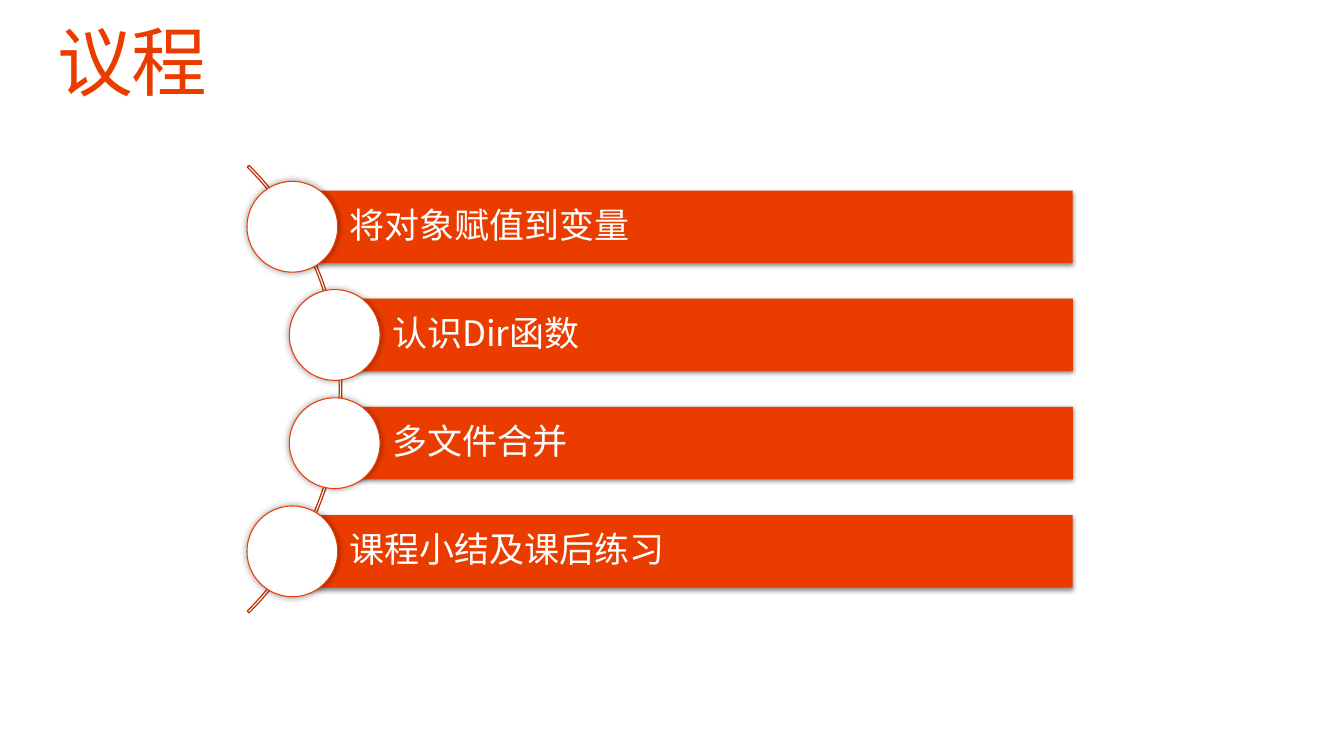
"""Build the agenda slide: four topic bars strung along an arc."""
from dataclasses import dataclass

from lxml.etree import SubElement
from pptx import Presentation
from pptx.dml.color import RGBColor as Rgb
from pptx.enum.shapes import MSO_SHAPE as Shape
from pptx.enum.text import MSO_ANCHOR as Anchor, MSO_AUTO_SIZE as AutoSize, PP_ALIGN as Align
from pptx.oxml.ns import qn
from pptx.util import Inches, Pt


@dataclass(frozen=True)
class Theme:
    accent: Rgb = Rgb(0xEB, 0x3C, 0x00)
    arc: Rgb = Rgb(0xBC, 0x30, 0x00)
    white: Rgb = Rgb(0xFF, 0xFF, 0xFF)
    shadow: str = "000000"
    title_font: str = "Cabin"
    body_font: str = "Noto Sans CJK SC"
    title_size: Pt = Pt(54)
    body_size: Pt = Pt(25)


theme = Theme()


def write_line(frame, text, font_name, size, color):
    frame.text = text
    frame.margin_left = frame.margin_right = frame.margin_top = frame.margin_bottom = 0
    frame.word_wrap = True
    frame.auto_size = AutoSize.NONE
    para = frame.paragraphs[0]
    para.alignment = Align.LEFT
    para.line_spacing = 0.9
    para.font.name = font_name
    para.font.size = size
    para.font.color.rgb = color
    properties = para._p.get_or_add_pPr().get_or_add_defRPr()
    SubElement(properties, qn("a:ea"), typeface=theme.body_font)
    return properties


def add_shadow(shape, opacity, blur, distance, degrees):
    shape.shadow.inherit = False
    effects = shape._element.spPr.find(qn("a:effectLst"))
    outer = SubElement(effects, qn("a:outerShdw"), blurRad=str(Pt(blur)),
                       dist=str(Pt(distance)), dir=str(degrees * 60000), rotWithShape="0")
    color = SubElement(outer, qn("a:srgbClr"), val=theme.shadow)
    SubElement(color, qn("a:alpha"), val=str(opacity * 1000))


deck = Presentation()
deck.slide_width, deck.slide_height = Inches(13.33), Inches(7.5)
page = deck.slides.add_slide(deck.slide_layouts.get_by_name("Title Only"))

title = page.shapes.title
title.left, title.top = Inches(0.57), Inches(0.25)
title.width, title.height = Inches(12.19), Inches(0.82)
title_properties = write_line(title.text_frame, "议程", theme.title_font,
                              theme.title_size, theme.accent)
title_properties.set("spc", "-100")
title.text_frame.vertical_anchor = Anchor.TOP

arc = page.shapes.add_shape(Shape.BLOCK_ARC, Inches(-2.89), Inches(0.72),
                            Inches(6.28), Inches(6.28))
for index, value in enumerate((189, 27, 0.004)):
    arc.adjustments[index] = value
arc.fill.background()
arc.line.color.rgb = theme.arc
arc.line.width = Pt(0.85)
arc.shadow.inherit = False

topics = [("将对象赋值到变量", 2.9), ("认识Dir函数", 3.32),
          ("多文件合并", 3.32), ("课程小结及课后练习", 2.9)]
first_top, last_top = 1.89, 5.11
bar_right, bar_height, diameter = 10.64, 0.72, 0.9
step = (last_top - first_top) / (len(topics) - 1)

for index, (topic, left) in enumerate(topics):
    top = first_top + index * step
    bar = page.shapes.add_shape(Shape.RECTANGLE, Inches(left), Inches(top),
                                Inches(bar_right - left), Inches(bar_height))
    bar.fill.solid()
    bar.fill.fore_color.rgb = theme.accent
    bar.line.fill.background()
    add_shadow(bar, opacity=45, blur=3.5, distance=1.1, degrees=90)
    frame = bar.text_frame
    write_line(frame, topic, theme.body_font, theme.body_size, theme.white)
    frame.margin_left = Inches(0.57)
    frame.margin_right = frame.margin_top = frame.margin_bottom = Inches(0.07)
    frame.vertical_anchor = Anchor.MIDDLE

    circle = page.shapes.add_shape(Shape.OVAL, Inches(left - diameter / 2),
                                   Inches(top + (bar_height - diameter) / 2),
                                   Inches(diameter), Inches(diameter))
    circle.fill.solid()
    circle.fill.fore_color.rgb = theme.white
    circle.line.color.rgb = theme.accent
    circle.line.width = Pt(0.75)
    add_shadow(circle, opacity=40, blur=5, distance=0, degrees=0)

deck.save("out.pptx")
